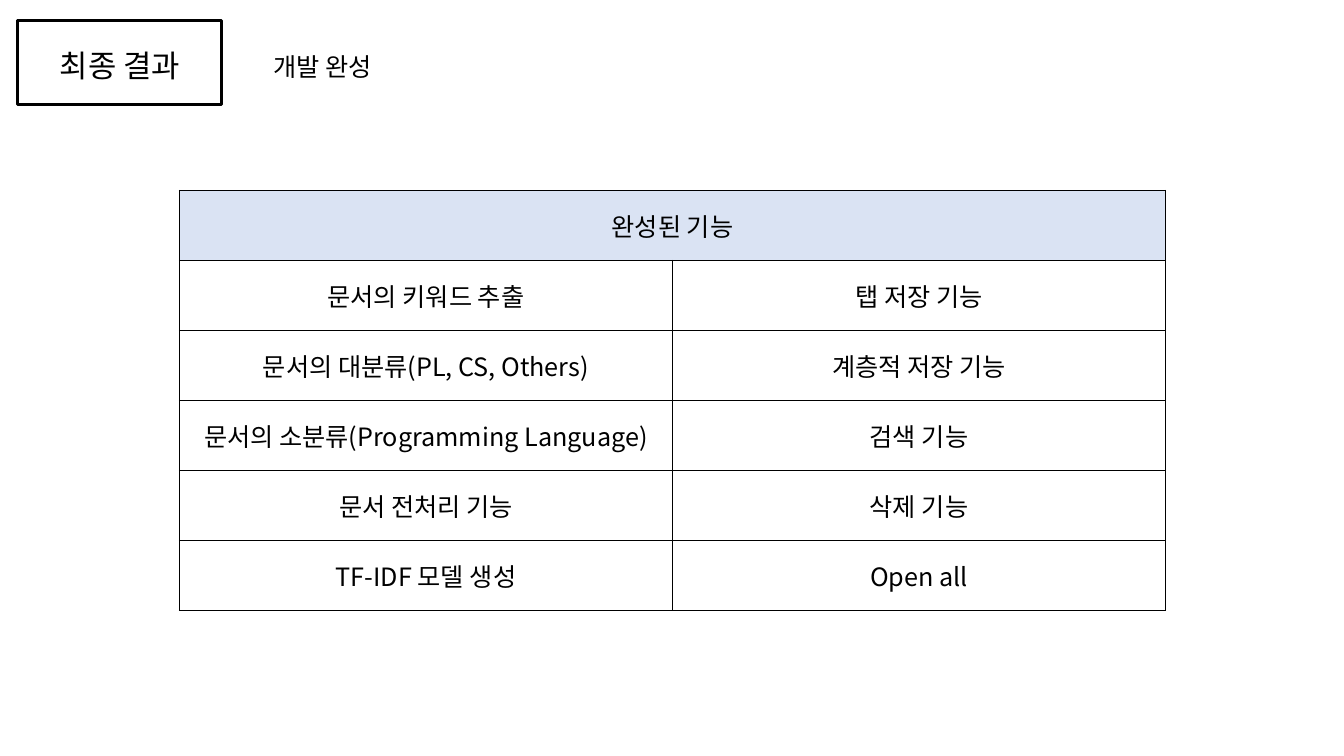
from lxml import etree
from pptx import Presentation
from pptx.dml.color import RGBColor
from pptx.enum.shapes import MSO_SHAPE
from pptx.enum.text import MSO_ANCHOR, PP_ALIGN
from pptx.oxml.ns import qn
from pptx.util import Inches, Pt

RECT = MSO_SHAPE.RECTANGLE
MIDDLE = MSO_ANCHOR.MIDDLE
LEFT, CENTER = PP_ALIGN.LEFT, PP_ALIGN.CENTER
FONT = "Noto Sans CJK KR"
BLACK, BLUE = "000000", "DAE3F3"

HEAD = "완성된 기능"
ROWS = [
    ("문서의 키워드 추출", "탭 저장 기능"),
    ("문서의 대분류(PL, CS, Others)", "계층적 저장 기능"),
    ("문서의 소분류(Programming Language)", "검색 기능"),
    ("문서 전처리 기능", "삭제 기능"),
    ("TF-IDF 모델 생성", "Open all"),
]


def color(code):
    return RGBColor.from_string(code)


def write(frame, text, size=18, align=CENTER, ink=BLACK):
    frame.word_wrap = True
    frame.vertical_anchor = MIDDLE
    para = frame.paragraphs[0]
    para.alignment = align
    run = para.add_run()
    run.text = text
    run.font.size = Pt(size)
    run.font.name = FONT
    run.font.color.rgb = color(ink)
    # Korean letters take the East Asian font
    east = etree.SubElement(run.font._element, qn("a:ea"))
    east.set("typeface", FONT)


def place(shape, left, top, width, height):
    shape.left, shape.top = Inches(left), Inches(top)
    shape.width, shape.height = Inches(width), Inches(height)


def add_frame(slide, left, top, width, height):
    box = slide.shapes.add_shape(
        RECT, Inches(left), Inches(top), Inches(width), Inches(height))
    box.shadow.inherit = False
    box.fill.background()
    box.line.color.rgb = color(BLACK)
    box.line.width = Pt(2)


def add_label(slide, text, left, top, width, height):
    box = slide.shapes.add_textbox(
        Inches(left), Inches(top), Inches(width), Inches(height))
    write(box.text_frame, text, align=LEFT)


def add_borders(cell, ink=BLACK, width=1):
    props = cell._tc.get_or_add_tcPr()
    for side in ("a:lnL", "a:lnR", "a:lnT", "a:lnB"):
        line = etree.SubElement(props, qn(side), w=str(Pt(width)))
        fill = etree.SubElement(line, qn("a:solidFill"))
        etree.SubElement(fill, qn("a:srgbClr"), val=ink)


def add_grid(slide, left, top, width, height):
    count = len(ROWS) + 1
    table = slide.shapes.add_table(
        count, 2, Inches(left), Inches(top),
        Inches(width), Inches(height)).table
    table.horz_banding = False
    table.first_row = False
    for row in table.rows:
        row.height = int(Inches(height) / count)
    for cell in table.iter_cells():
        add_borders(cell)
        cell.fill.background()
        cell.vertical_anchor = MIDDLE

    # Header across both columns
    head = table.cell(0, 0)
    head.merge(table.cell(0, 1))
    head.fill.solid()
    head.fill.fore_color.rgb = color(BLUE)
    write(head.text_frame, HEAD)

    # Feature rows
    for r, texts in enumerate(ROWS, 1):
        for c, text in enumerate(texts):
            write(table.cell(r, c).text_frame, text)


def main():
    deck = Presentation()
    deck.slide_width, deck.slide_height = Inches(13.33), Inches(7.5)
    slide = deck.slides.add_slide(deck.slide_layouts[5])

    # Framed title and its label
    title = slide.shapes.title
    place(title, 0.23, 0.41, 1.92, 0.47)
    write(title.text_frame, "최종 결과", size=22)
    add_frame(slide, 0.17, 0.2, 2.03, 0.84)
    add_label(slide, "개발 완성", 2.61, 0.46, 1.84, 0.4)

    # Table of finished features
    add_grid(slide, 1.78, 1.89, 9.78, 4.17)
    deck.save("out.pptx")


if __name__ == "__main__":
    main()
